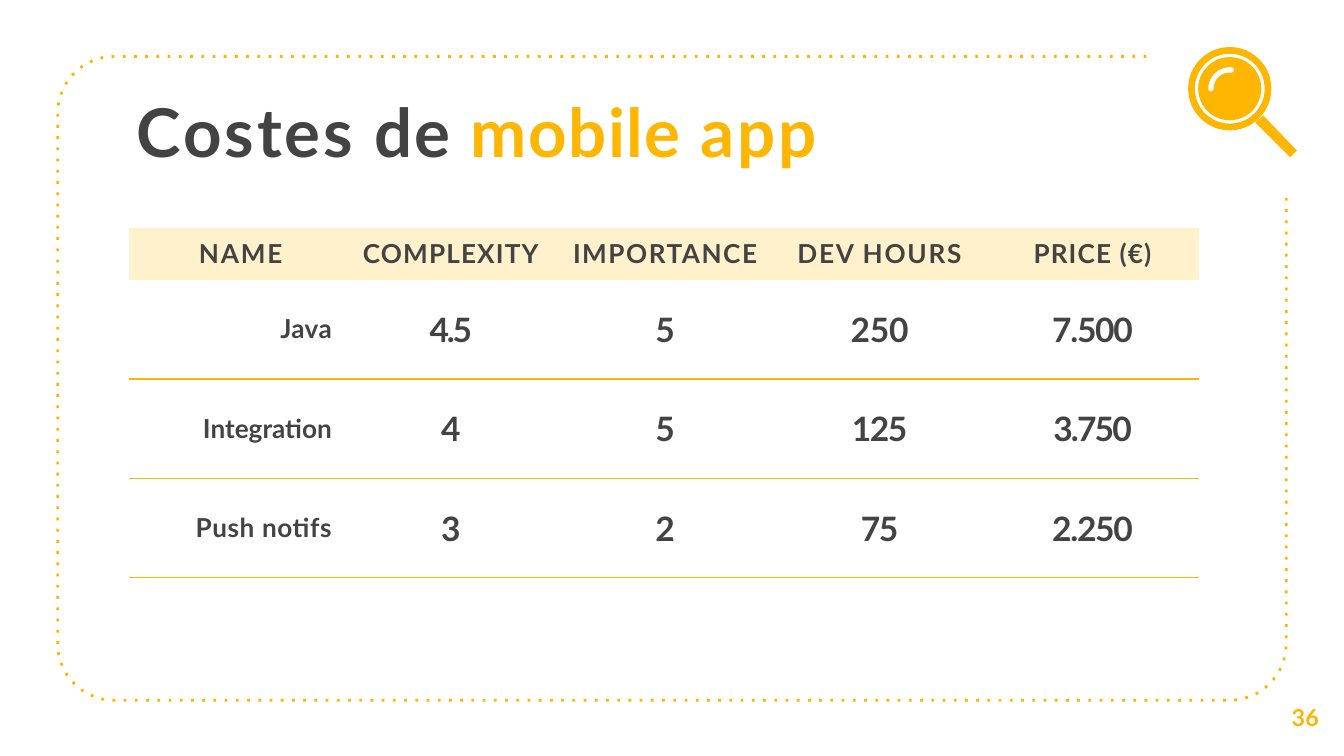
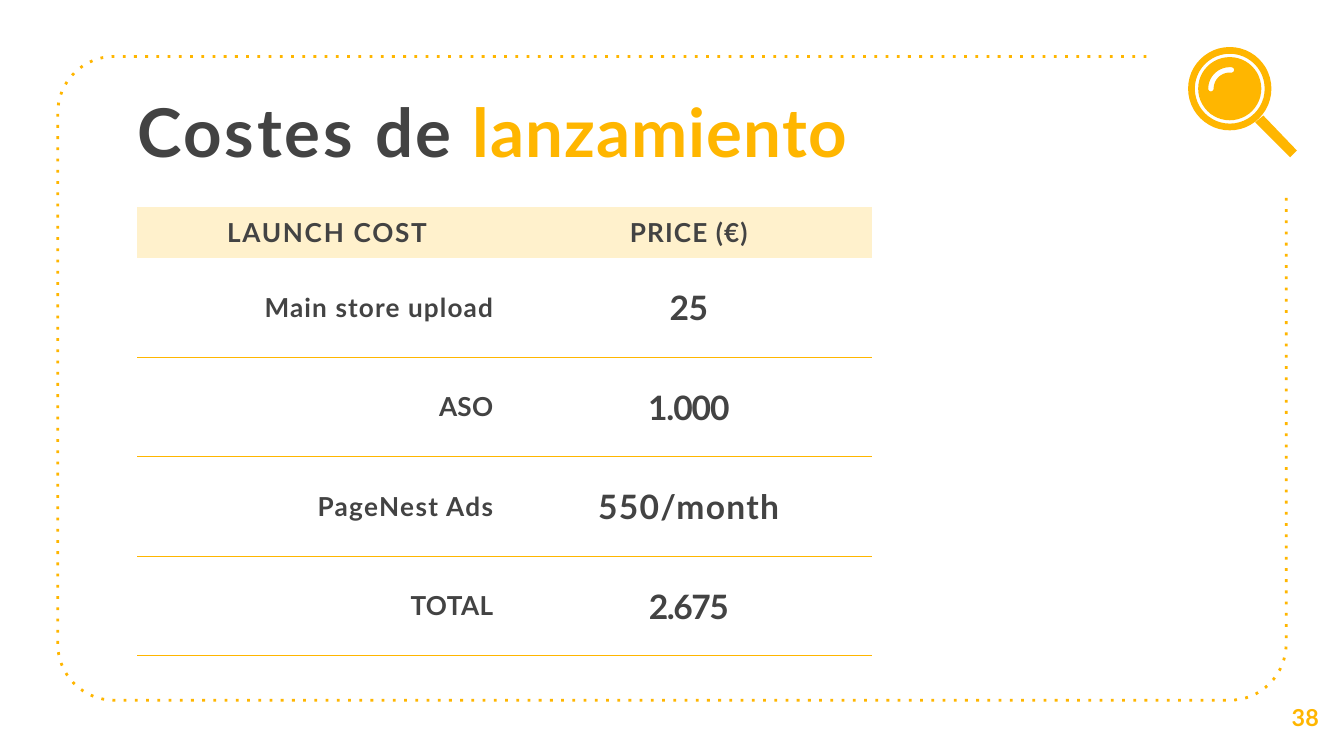
"""Builds two cost slides that share a dotted frame, a magnifier and a table style."""
from math import cos, radians, sin

from lxml import etree
from pptx import Presentation
from pptx.dml.color import RGBColor
from pptx.enum import dml, text
from pptx.oxml import ns
from pptx.util import Inches, Pt

FONT = "Lato"
AMBER, CREAM, GREY = "FFB600", "FFF1CC", "434343"
NO_GRID_STYLE = "{2D5ABB26-0587-4C30-8999-92F81FD0307C}"
HEADER_HEIGHT, ROW_HEIGHT = 0.38, 0.74
HEADER_TOP, NAME_TOP, VALUE_TOP = 0.07, 0.25, 0.22
LEFT, TOP, RIGHT, BOTTOM, CORNER = 0.43, 0.42, 9.57, 5.21, 0.42
LENS_X, LENS_Y = 9.15, 0.66

SLIDES = [
    {
        "title": [("Costes ", GREY, 1.5), ("de ", GREY, 1),
                  ("mobile ", AMBER, 0.8), ("app", AMBER, 1.7)],
        "title_width": 5.24,
        "number": "36",
        "table_at": (0.96, 1.7),
        "columns": [1.64, 1.53, 1.64, 1.62, 1.53],
        "right_margins": [0.13, 0.02, 0, 0.07, 0.05],
        "header_indent": 0.52,
        "header": [("NAME", 1), ("COMPLEXITY", 0.6), ("IMPORTANCE", 0.8),
                   ("DEV HOURS", 0.9), ("PRICE (€)", 0.6)],
        "rows": [
            [("Java", 0.2), ("4.5", -1.2), ("5", 0), ("250", -0.1), ("7.500", -0.7)],
            [("Integration", 0), ("4", 0), ("5", 0), ("125", -0.8), ("3.750", -1)],
            [("Push notifs", 0.3), ("3", 0), ("2", 0), ("75", -0.8), ("2.250", -0.7)],
        ],
    },
    {
        "title": [("Costes ", GREY, 1.5), ("de ", GREY, 1.3), ("lanzamiento", AMBER, 0.6)],
        "title_width": 5.51,
        "number": "38",
        "table_at": (1.02, 1.54),
        "columns": [3.03, 2.44],
        "right_margins": [0.38, 0.29],
        "header_indent": 0.67,
        "header": [("LAUNCH COST", 0.9), ("PRICE (€)", 0.6)],
        "rows": [
            [("Main store upload", 0.6), ("25", -0.2)],
            [("ASO", 0.1), ("1.000", -0.6)],
            [("PageNest Ads", 0.7), ("550/month", 0.7)],
            [("TOTAL", 0.2), ("2.675", -0.8)],
        ],
    },
]


def rgb(value):
    """Turn a hex string into a colour."""
    return RGBColor.from_string(value)


def style_span(span, size, color, spacing):
    """Set the font of a run; spacing is in points."""
    span.font.name, span.font.size, span.font.bold = FONT, Pt(size), True
    span.font.color.rgb = rgb(color)
    span.font._element.set("spc", str(round(spacing * 100)))


def add_text(page, at, spans, size, indent):
    """Add a one-line text box from (text, colour, spacing) parts."""
    box = page.shapes.add_textbox(*map(Inches, at))
    frame = box.text_frame
    frame.word_wrap = True
    frame.margin_left, frame.margin_top = Inches(indent), Inches(0.01)
    frame.margin_right = frame.margin_bottom = 0
    for words, color, spacing in spans:
        span = frame.paragraphs[0].add_run()
        span.text = words
        style_span(span, size, color, spacing)


def arc(x, y, radius, start, end, steps=16):
    """Return points along an arc, with angles clockwise from the right."""
    angles = [radians(start + (end - start) * i / steps) for i in range(steps + 1)]
    return [(x + radius * cos(a), y + radius * sin(a)) for a in angles]


def add_outline(page, contours, close):
    """Build one freeform from lists of points in inches."""
    contours = [[(Inches(x), Inches(y)) for x, y in points] for points in contours]
    builder = page.shapes.build_freeform(*contours[0][0])
    for i, points in enumerate(contours):
        if i:
            builder.move_to(*points[0])
        builder.add_line_segments(points[1:], close=close)
    shape = builder.convert_to_shape()
    shape.shadow.inherit = False
    return shape


def add_frame(page):
    """Draw the dotted frame, open at the top right corner."""
    left, right = LEFT + CORNER, RIGHT - CORNER
    top, bottom = TOP + CORNER, BOTTOM - CORNER
    points = [(8.53, TOP), *arc(left, top, CORNER, 270, 180),
              *arc(left, bottom, CORNER, 180, 90),
              *arc(right, bottom, CORNER, 90, 0), (RIGHT, 1.46)]
    shape = add_outline(page, [points], False)
    shape.fill.background()
    shape.line.color.rgb = rgb(AMBER)
    shape.line.width = Pt(1.5)
    shape.line.dash_style = dml.MSO_LINE.ROUND_DOT
    shape._element.find(".//" + ns.qn("a:prstDash")).set("val", "dot")


def add_magnifier(page):
    """Draw the magnifier: ring, lens, glint and handle."""
    circles = [arc(LENS_X, LENS_Y, r, 0, 360, 48) for r in (0.31, 0.26, 0.235)]
    tip = arc(LENS_X, LENS_Y, 0.14, 275, 275)[0]
    glint = [*arc(LENS_X, LENS_Y, 0.16, 180, 275), *arc(*tip, 0.02, 275, 455),
             *arc(LENS_X, LENS_Y, 0.12, 275, 180),
             *arc(LENS_X - 0.14, LENS_Y, 0.02, 0, 180)]
    handle = [(9.4, 0.86), (9.64, 1.11), (9.65, 1.12), (9.64, 1.13),
              (9.61, 1.16), (9.6, 1.17), (9.59, 1.16), (9.34, 0.91)]
    shape = add_outline(page, [*circles, glint, handle], True)
    shape.fill.solid()
    shape.fill.fore_color.rgb = rgb(AMBER)
    shape.line.fill.background()


def add_border(cell, side, place):
    """Rule one side of a cell in amber."""
    line = etree.Element(ns.qn("a:" + side), w=str(Pt(0.75)))
    fill = etree.SubElement(line, ns.qn("a:solidFill"))
    etree.SubElement(fill, ns.qn("a:srgbClr"), val=AMBER)
    cell._tc.get_or_add_tcPr().insert(place, line)


def fill_cell(cell, words, spacing, size, top, right, align):
    """Write and format the text of one cell."""
    cell.margin_left = cell.margin_bottom = 0
    cell.margin_top, cell.margin_right = Inches(top), Inches(right)
    para = cell.text_frame.paragraphs[0]
    para.text = words
    para.alignment = align
    style_span(para.runs[0], size, GREY, spacing)


def add_cost_table(page, content):
    """Add the table with a cream header and ruled rows."""
    lines = [content["header"], *content["rows"]]
    heights = [HEADER_HEIGHT] + [ROW_HEIGHT] * len(content["rows"])
    widths = content["columns"]
    size = (sum(widths), sum(heights))
    table = page.shapes.add_table(len(lines), len(widths),
                                  *map(Inches, content["table_at"] + size)).table
    table.first_row = table.horz_banding = False
    table._tbl.tblPr[0].text = NO_GRID_STYLE
    for column, width in zip(table.columns, widths):
        column.width = Inches(width)
    for row, height in zip(table.rows, heights):
        row.height = Inches(height)
    align = text.PP_ALIGN
    for r, line in enumerate(lines):
        for c, (words, spacing) in enumerate(line):
            cell = table.cell(r, c)
            right = content["right_margins"][c]
            if r == 0:
                fill_cell(cell, words, spacing, 14, HEADER_TOP, right,
                          align.CENTER if c else align.LEFT)
                cell.margin_left = 0 if c else Inches(content["header_indent"])
                cell.fill.solid()
                cell.fill.fore_color.rgb = rgb(CREAM)
                continue
            if c == 0:
                fill_cell(cell, words, spacing, 14, NAME_TOP, right, align.RIGHT)
            else:
                fill_cell(cell, words, spacing, 18, VALUE_TOP, right, align.CENTER)
            cell.fill.background()
            add_border(cell, "lnB", 0)
            if r > 1:
                add_border(cell, "lnT", 0)


def main():
    """Build and save the deck."""
    deck = Presentation()
    deck.slide_width = Inches(10)
    deck.slide_height = deck.slide_width * 9 // 16
    for content in SLIDES:
        page = deck.slides.add_slide(deck.slide_layouts[6])
        add_frame(page)
        add_text(page, (1.01, 0.66, content["title_width"], 0.63), content["title"], 36, 0.01)
        add_cost_table(page, content)
        add_magnifier(page)
        add_text(page, (9.57, 5.22, 0.29, 0.24), [(content["number"], AMBER, 0.1)], 12.5, 0.04)
    deck.save("out.pptx")


if __name__ == "__main__":
    main()
